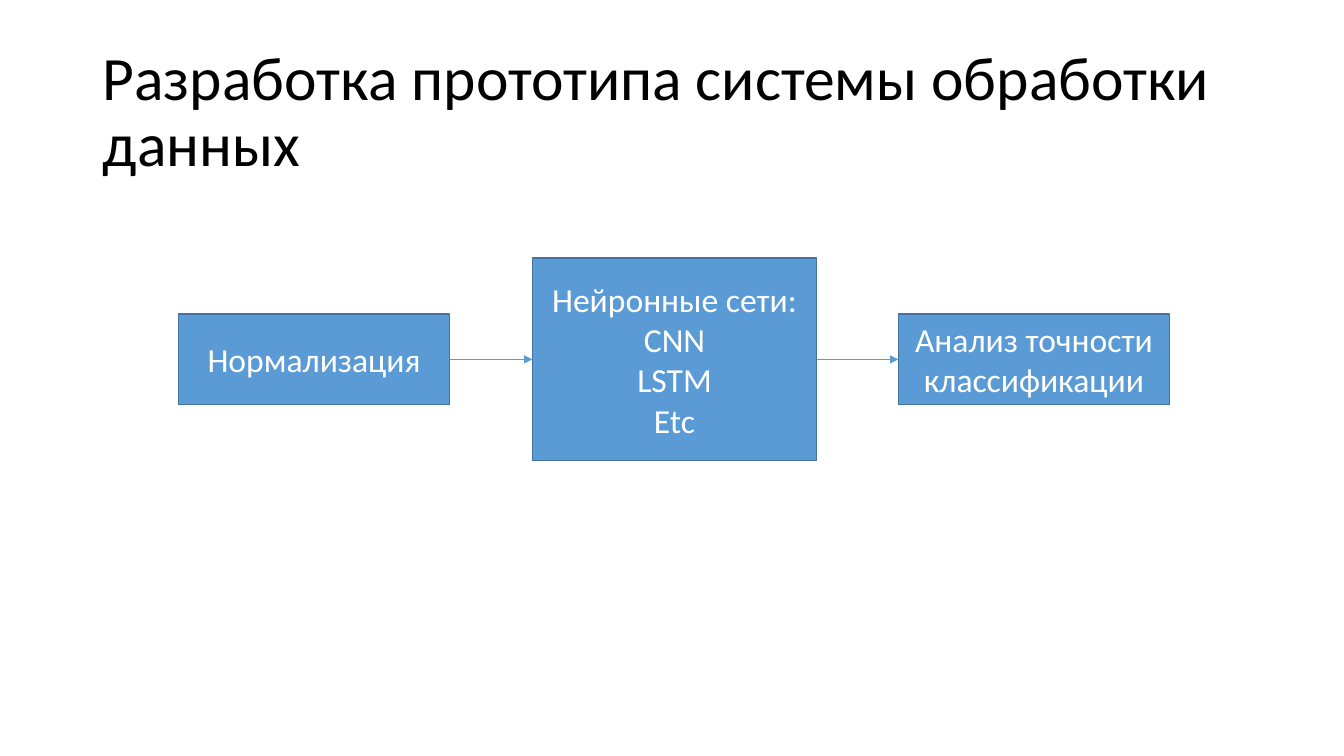
from itertools import pairwise
from lxml.etree import SubElement
from pptx import Presentation
from pptx.dml.color import RGBColor
from pptx.enum.shapes import MSO_CONNECTOR as Connector, MSO_SHAPE as Shape
from pptx.enum.text import MSO_ANCHOR as Anchor, PP_ALIGN as Align
from pptx.oxml.ns import qn
from pptx.util import Inches, Pt

COLORS = {"title": "000000", "box": "5B9BD5", "border": "43739E",
          "label": "FFFFFF", "arrow": "5B9BD5"}
FONT = "Calibri"
LEFT_SITE, RIGHT_SITE = 1, 3

STAGES = [
    (0, 2.69, 0.9, ["Нормализация"]),
    (3.51, 2.82, 2.01, ["Нейронные сети:", "CNN", "LSTM", "Etc"]),
    (7.14, 2.69, 0.9, ["Анализ точности классификации"]),
]


def color(name):
    return RGBColor.from_string(COLORS[name])


def write_text(frame, lines, size, color_name, align):
    frame.word_wrap = True
    frame.vertical_anchor = Anchor.MIDDLE
    frame.text = "\n".join(lines)
    for paragraph in frame.paragraphs:
        paragraph.alignment = align
        paragraph.font.name = FONT
        paragraph.font.size = Pt(size)
        paragraph.font.color.rgb = color(color_name)


def add_title(slide, left, top, width, height):
    box = slide.shapes.add_textbox(Inches(left), Inches(top), Inches(width), Inches(height))
    write_text(box.text_frame, ["Разработка прототипа системы обработки данных"],
               44, "title", Align.LEFT)
    box.text_frame.paragraphs[0].line_spacing = 0.9


def add_stage(slide, left, top, width, height, lines):
    shape = slide.shapes.add_shape(Shape.RECTANGLE, Inches(left), Inches(top),
                                   Inches(width), Inches(height))
    shape.shadow.inherit = False
    shape.fill.solid()
    shape.fill.fore_color.rgb = color("box")
    shape.line.color.rgb = color("border")
    shape.line.width = Pt(1)
    write_text(shape.text_frame, lines, 24, "label", Align.CENTER)
    return shape


def add_arrow(slide, source, target):
    arrow = slide.shapes.add_connector(Connector.STRAIGHT, 0, 0, 0, 0)
    arrow.begin_connect(source, RIGHT_SITE)
    arrow.end_connect(target, LEFT_SITE)
    arrow.line.color.rgb = color("arrow")
    arrow.line.width = Pt(0.5)
    SubElement(arrow.line._get_or_add_ln(), qn("a:tailEnd"), type="triangle")
    SubElement(arrow._element.spPr, qn("a:effectLst"))


def add_pipeline(slide, left, top, height):
    stages = [
        add_stage(slide, left + offset, top + (height - stage_height) / 2,
                  width, stage_height, lines)
        for offset, width, stage_height, lines in STAGES
    ]
    for source, target in pairwise(stages):
        add_arrow(slide, source, target)


presentation = Presentation()
presentation.slide_width = Inches(13.33)
presentation.slide_height = Inches(7.5)
slide = presentation.slides.add_slide(presentation.slide_layouts[6])
add_title(slide, 0.92, 0.4, 11.5, 1.45)
add_pipeline(slide, 1.77, 2.56, 2.01)
presentation.save("out.pptx")
